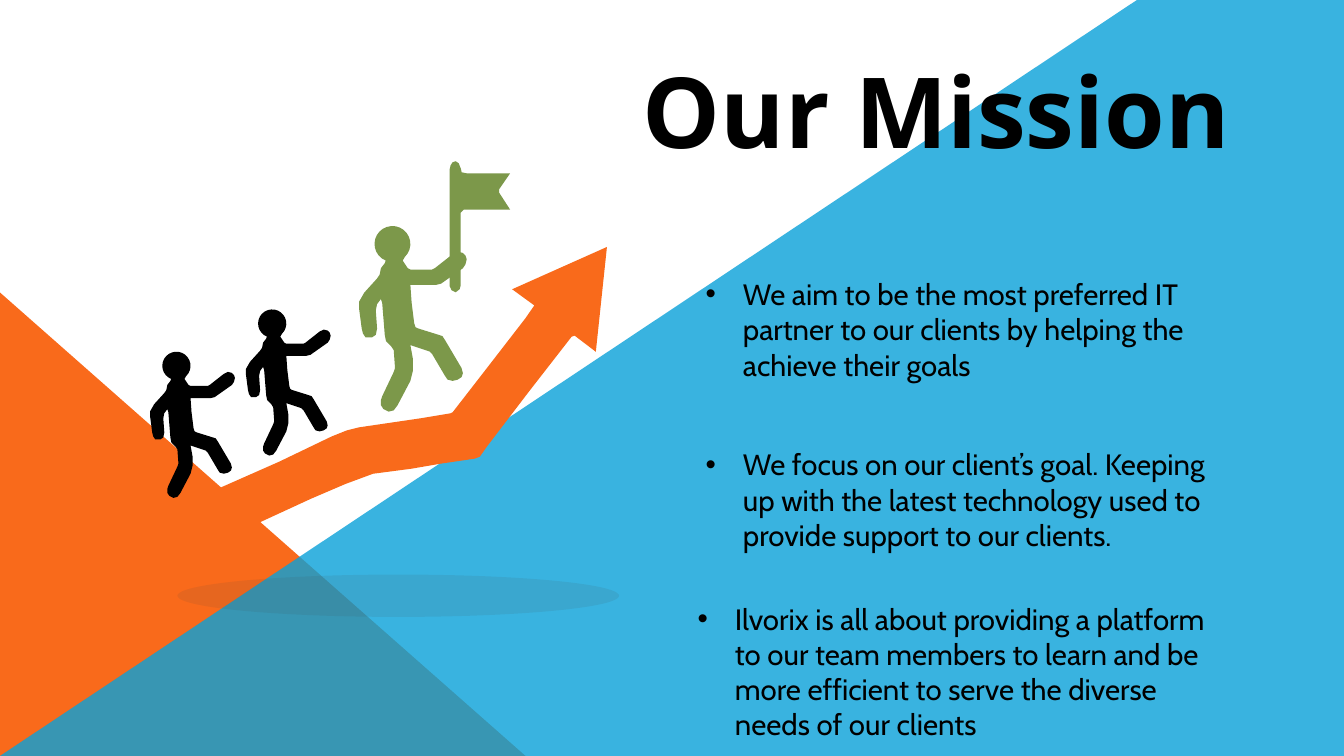
import math

import lxml.etree
import pptx
import pptx.dml.color
import pptx.enum.shapes
import pptx.enum.text
import pptx.oxml.ns
import pptx.util

RGBColor = pptx.dml.color.RGBColor
ORANGE = RGBColor(0xF9, 0x6A, 0x1B)
BLUE = RGBColor(0x08, 0xA1, 0xD9)
GREEN = RGBColor(0x7C, 0x98, 0x4A)
GREY = RGBColor(0x43, 0x43, 0x43)
BLACK = RGBColor(0, 0, 0)

WIDTH, HEIGHT = 13.33, 7.5
MSO_SHAPE = pptx.enum.shapes.MSO_SHAPE
PP_ALIGN = pptx.enum.text.PP_ALIGN
Inches = pptx.util.Inches
qn = pptx.oxml.ns.qn

CLIMBER_GRID = (86, 147)
HEAD = [(27 + 14 * math.cos(math.radians(angle)), 15 + 14 * math.sin(math.radians(angle)))
        for angle in range(112, 420, 14)]
RAISED_ARM = [(35, 28), (39, 34), (41, 35), (58, 35), (60, 34), (74, 23), (78, 21), (82, 22),
              (84, 24), (85, 27), (84, 31), (82, 34), (65, 46), (61, 47), (41, 47)]
FRONT_LEG = [(42, 61), (44, 77), (45, 80), (47, 81), (63, 86), (66, 87), (68, 90), (81, 112),
             (82, 116), (81, 119), (78, 121), (74, 122), (70, 121), (68, 118), (58, 101), (56, 99)]
BACK_LEG = [(41, 94), (43, 105), (43, 114), (41, 122), (31, 141), (28, 145), (24, 146), (20, 144),
            (18, 141), (18, 137), (19, 134), (28, 115), (29, 112), (28, 98), (26, 95), (22, 91)]
LOW_ARM = [(21, 86), (19, 61), (18, 58), (15, 62), (14, 67), (15, 81), (14, 86), (11, 88), (6, 88),
           (4, 85), (3, 81), (1, 66), (1, 60), (5, 53), (15, 42), (17, 39), (18, 34), (21, 30)]
CLIMBER = HEAD + RAISED_ARM + FRONT_LEG + BACK_LEG + LOW_ARM

FLAG_GRID = (60, 131)
FLAG = [(0, 9), (1, 5), (3, 2), (6, 1), (9, 3), (11, 8), (12, 12), (17, 13), (60, 13), (49, 29),
        (49, 32), (60, 49), (14, 49), (11, 52), (11, 124), (10, 128), (6, 131), (2, 129), (0, 125)]

ARROW_GRID = (443, 309)
ARROW = [(371, 58), (349, 42), (443, 0), (432, 104), (411, 88), (408, 89), (366, 143), (324, 198),
         (317, 208), (312, 210), (278, 215), (249, 220), (211, 225), (184, 235), (149, 250),
         (110, 268), (45, 298), (22, 309), (19, 308), (0, 269), (2, 265), (41, 247), (118, 213),
         (170, 188), (185, 182), (197, 179), (258, 170), (288, 165), (290, 164), (321, 124), (362, 71)]

MISSIONS = [
    ((6.9, 2.69, 5.12, 1.16),
     "We aim to be the most preferred IT partner to our clients by helping the achieve their goals"),
    ((6.9, 4.38, 5.35, 1.16),
     "We focus on our client’s goal. Keeping up with the latest technology used to provide "
     "support to our clients."),
    ((6.82, 5.91, 5.51, 1.51),
     "Ilvorix is all about providing a platform to our team members to learn and be more "
     "efficient to serve the diverse needs of our clients"),
]


def paint(shape, colour, opacity=100):
    shape.shadow.inherit = False
    shape.fill.solid()
    shape.fill.fore_color.rgb = colour
    shape.line.fill.background()
    if opacity < 100:
        tone = shape._element.spPr.find(qn("a:solidFill"))[0]
        lxml.etree.SubElement(tone, qn("a:alpha")).set("val", str(opacity * 1000))


def add_preset(slide, kind, box, colour, opacity=100):
    shape = slide.shapes.add_shape(kind, *map(Inches, box))
    paint(shape, colour, opacity)


def add_outline(slide, box, grid, points, colour, opacity=100):
    left, top, width, height = box
    columns, rows = grid
    corners = [(Inches(left + width * x / columns), Inches(top + height * y / rows))
               for x, y in points]
    builder = slide.shapes.build_freeform(*corners[0])
    builder.add_line_segments(corners[1:], close=True)
    paint(builder.convert_to_shape(), colour, opacity)


def add_text(slide, box, text, *, font, size, bold=False, align=PP_ALIGN.LEFT, bullet=False):
    frame = slide.shapes.add_textbox(*map(Inches, box)).text_frame
    frame.word_wrap = True
    frame.auto_size = pptx.enum.text.MSO_AUTO_SIZE.SHAPE_TO_FIT_TEXT
    paragraph = frame.paragraphs[0]
    paragraph.alignment = align
    run = paragraph.add_run()
    run.text = text
    run.font.name = font
    run.font.size = pptx.util.Pt(size)
    run.font.bold = bold
    run.font.color.rgb = BLACK
    if bullet:
        properties = paragraph._p.get_or_add_pPr()
        properties.set("marL", str(Inches(0.37)))
        properties.set("indent", str(-Inches(0.37)))
        lxml.etree.SubElement(properties, qn("a:buFont")).set("typeface", "Arial")
        lxml.etree.SubElement(properties, qn("a:buChar")).set("char", "•")


def add_backdrop(slide, box):
    left, top, width, height = box
    add_preset(slide, MSO_SHAPE.RIGHT_TRIANGLE,
               (left, top + 0.387 * height, 0.391 * width, 0.613 * height), ORANGE)
    add_outline(slide, box, (100, 100), [(0, 100), (84.6, 0), (100, 0), (100, 100)], BLUE, 80)


def add_climb(slide, box):
    left, top, width, height = box
    add_preset(slide, MSO_SHAPE.OVAL, (left + 0.28, top + 4.11, 4.38, 0.42), GREY, 10)
    add_outline(slide, (left + 0.11, top + 0.86, width - 0.11, 3.09), ARROW_GRID, ARROW, ORANGE)
    for across, down, scale, colour in [(2.07, 0.64, 1.27, GREEN), (0, 1.89, 1, BLACK),
                                        (0.95, 1.47, 1, BLACK)]:
        add_outline(slide, (left + across, top + down, 0.86 * scale, 1.47 * scale),
                    CLIMBER_GRID, CLIMBER, colour)
    add_outline(slide, (left + 2.98, top, 0.6, 1.31), FLAG_GRID, FLAG, GREEN)


def add_missions(slide):
    for box, mission in MISSIONS:
        add_text(slide, box, mission, font="Cabin", size=21, bullet=True)


def main():
    deck = pptx.Presentation()
    deck.slide_width = Inches(WIDTH)
    deck.slide_height = Inches(HEIGHT)
    slide = deck.slides.add_slide(deck.slide_layouts[6])
    add_backdrop(slide, (0, 0, WIDTH, HEIGHT))
    add_climb(slide, (1.48, 1.59, 4.54, 4.53))
    add_text(slide, (6.03, 0.45, 6.51, 1.28), "Our Mission", font="Noto Sans", size=70,
             bold=True, align=PP_ALIGN.CENTER)
    add_missions(slide)
    deck.save("out.pptx")


if __name__ == "__main__":
    main()
